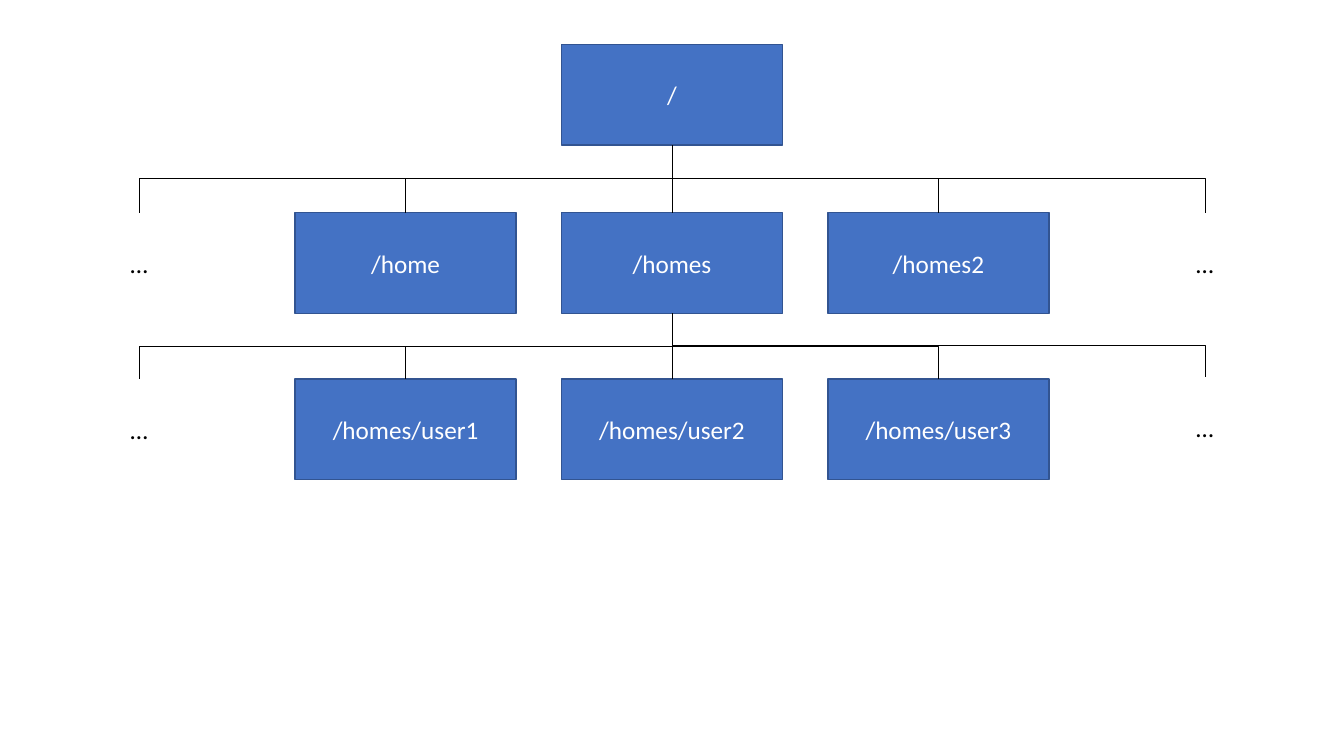
"""Build a slide with the directory tree of home folders."""
from lxml import etree
from pptx import Presentation
from pptx.dml.color import RGBColor
from pptx.enum.shapes import MSO_CONNECTOR, MSO_SHAPE
from pptx.enum.text import MSO_ANCHOR, PP_ALIGN
from pptx.oxml.ns import qn
from pptx.util import Pt

RECTANGLE = MSO_SHAPE.RECTANGLE
STRAIGHT, ELBOW = MSO_CONNECTOR.STRAIGHT, MSO_CONNECTOR.ELBOW
MIDDLE, CENTER = MSO_ANCHOR.MIDDLE, PP_ALIGN.CENTER
BLUE = RGBColor(0x44, 0x72, 0xC4)
DARK_BLUE = RGBColor(0x32, 0x54, 0x91)
WHITE = RGBColor(0xFF, 0xFF, 0xFF)
BLACK = RGBColor(0, 0, 0)
ELLIPSIS = "…"
BOX_WIDTH, BOX_HEIGHT = 157.8, 72
FIRST_LEFT, COLUMN_STEP = 20.5, 190.3
ROOT_TOP, HOMES_TOP, USERS_TOP = 31.7, 151.9, 270.7
LAST_USER_TOP = 269.2
BOTTOM_SIDE, TOP_SIDE = 2, 0


def add_box(slide, text, column, top):
    """Add a directory box, or a white one for an ellipsis."""
    shape = slide.shapes.add_shape(
        RECTANGLE, Pt(FIRST_LEFT + column * COLUMN_STEP), Pt(top),
        Pt(BOX_WIDTH), Pt(BOX_HEIGHT))
    is_ellipsis = text == ELLIPSIS
    shape.shadow.inherit = False
    shape.fill.solid()
    shape.fill.fore_color.rgb = WHITE if is_ellipsis else BLUE
    shape.line.color.rgb = WHITE if is_ellipsis else DARK_BLUE
    shape.line.width = Pt(1)
    frame = shape.text_frame
    frame.word_wrap = True
    frame.vertical_anchor = MIDDLE
    paragraph = frame.paragraphs[0]
    paragraph.text = text
    paragraph.alignment = CENTER
    paragraph.font.name = "Calibri"
    paragraph.font.size = Pt(18)
    paragraph.font.color.rgb = BLACK if is_ellipsis else WHITE
    return shape


def turn_elbow(connector, parent, child):
    """Turn an elbow so that it leaves downwards and arrives downwards."""
    across = abs(child.left - parent.left)
    down = child.top - parent.top - parent.height
    middle_x = (parent.left + child.left + parent.width) // 2
    middle_y = child.top - down // 2
    connector.left, connector.top = middle_x - down // 2, middle_y - across // 2
    connector.width, connector.height = down, across
    to_right = child.left > parent.left
    transform = connector._element.spPr.find(qn("a:xfrm"))
    transform.set("rot", "16200000" if to_right else "5400000")
    transform.set("flipH", "1" if to_right else "0")
    transform.set("flipV", "0")


def connect(slide, parent, child):
    """Join the bottom of a parent box to the top of a child box."""
    is_straight = parent.left == child.left
    connector = slide.shapes.add_connector(
        STRAIGHT if is_straight else ELBOW, Pt(0), Pt(0), Pt(0), Pt(0))
    connector.begin_connect(parent, BOTTOM_SIDE)
    connector.end_connect(child, TOP_SIDE)
    if not is_straight:
        turn_elbow(connector, parent, child)
    connector.line.color.rgb = BLACK
    connector.line.width = Pt(0.5)
    etree.SubElement(connector._element.spPr, qn("a:effectLst"))


def add_level(slide, parent, names, tops):
    """Add a row of children below a parent and return their boxes."""
    children = [add_box(slide, name, column, top)
                for column, (name, top) in enumerate(zip(names, tops))]
    for child in children:
        connect(slide, parent, child)
    return children


def main():
    """Draw the tree and save the presentation."""
    presentation = Presentation()
    presentation.slide_width, presentation.slide_height = Pt(960), Pt(540)
    slide = presentation.slides.add_slide(presentation.slide_layouts[6])
    root = add_box(slide, "/", 2, ROOT_TOP)
    homes_row = add_level(
        slide, root, [ELLIPSIS, "/home", "/homes", "/homes2", ELLIPSIS],
        [HOMES_TOP] * 5)
    add_level(
        slide, homes_row[2],
        [ELLIPSIS, "/homes/user1", "/homes/user2", "/homes/user3", ELLIPSIS],
        [USERS_TOP] * 4 + [LAST_USER_TOP])
    presentation.save("out.pptx")


if __name__ == "__main__":
    main()
